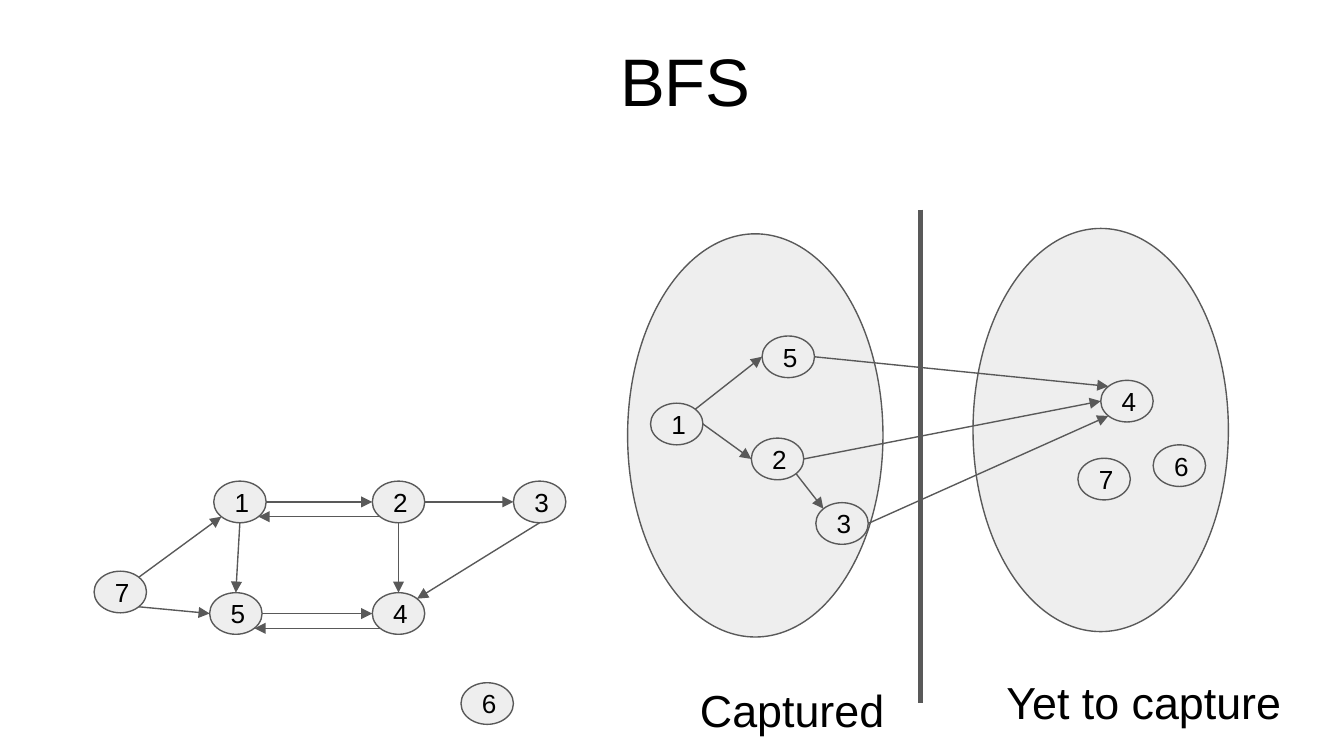
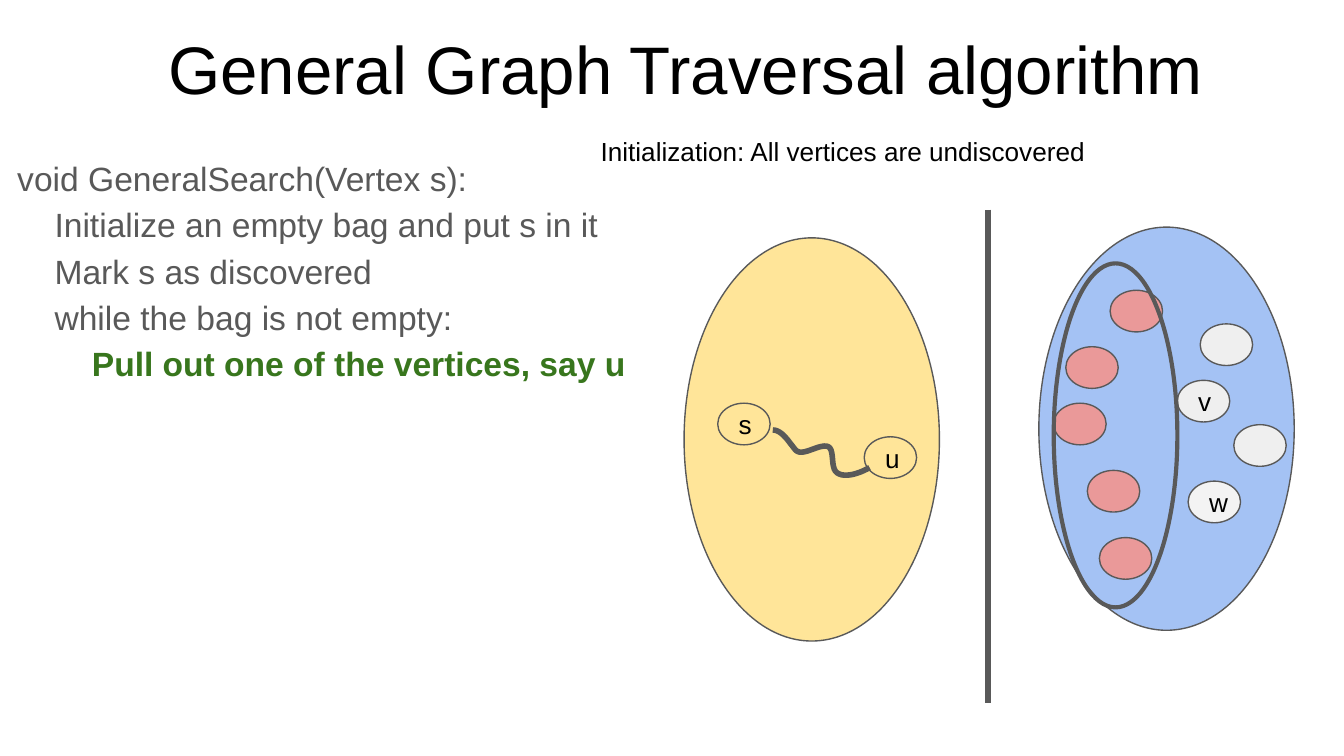
import dataclasses

import lxml.etree
import pptx
import pptx.dml.color
import pptx.enum.shapes
import pptx.enum.text
import pptx.oxml.ns
import pptx.shapes.base
import pptx.slide
import pptx.util
from pptx.util import Inches

COLORS = {
    "ink": "000000",
    "line": "595959",
    "code": "595959",
    "active": "38761D",
    "grey": "EEEEEE",
    "pale": "EFEFEF",
    "paler": "F3F3F3",
    "found": "FFE599",
    "unseen": "A4C2F4",
    "frontier": "EA9999",
}
FONT = "Arial"
NODE_WIDTH, NODE_HEIGHT = 0.39, 0.31
REGION_WIDTH, REGION_HEIGHT = 1.9, 3.0
DIVIDER_TOP, DIVIDER_BOTTOM = 1.56, 5.23
THIN, MEDIUM, THICK = 0.75, 2.25, 3
OVAL = pptx.enum.shapes.MSO_SHAPE.OVAL
REGION = pptx.enum.shapes.MSO_SHAPE.FLOWCHART_CONNECTOR
ALIGN = pptx.enum.text.PP_ALIGN
ANCHOR = pptx.enum.text.MSO_ANCHOR

# Points on a node's outline, as multiples of its half width and half height.
DIAGONAL = 0.71
SITES = {
    "N": (0, -1), "S": (0, 1), "W": (-1, 0), "E": (1, 0),
    "NW": (-DIAGONAL, -DIAGONAL), "NE": (DIAGONAL, -DIAGONAL),
    "SW": (-DIAGONAL, DIAGONAL), "SE": (DIAGONAL, DIAGONAL),
}

Point = tuple[float, float]


@dataclasses.dataclass(frozen=True)
class Node:
    left: float
    top: float
    label: str = ""
    fill: str = "grey"

    def site(self, name: str) -> Point:
        across, down = SITES[name]
        return (self.left + NODE_WIDTH / 2 * (1 + across),
                self.top + NODE_HEIGHT / 2 * (1 + down))


@dataclasses.dataclass(frozen=True)
class Edge:
    start: str
    start_site: str
    end: str
    end_site: str


GRAPH_NODES = [
    Node(1.59, 3.58, "1"), Node(2.77, 3.58, "2"), Node(3.82, 3.58, "3"),
    Node(0.7, 4.25, "7"), Node(1.56, 4.41, "5"), Node(2.77, 4.41, "4"),
    Node(3.43, 5.08, "6"),
]
GRAPH_EDGES = [
    Edge("1", "E", "2", "W"), Edge("2", "SW", "1", "SE"),
    Edge("2", "E", "3", "W"), Edge("2", "S", "4", "N"),
    Edge("3", "S", "4", "NE"), Edge("5", "E", "4", "W"),
    Edge("4", "SW", "5", "SE"), Edge("7", "NE", "1", "SW"),
    Edge("7", "SE", "5", "W"), Edge("1", "S", "5", "N"),
]
SEARCH_NODES = [
    Node(4.84, 3, "1"), Node(6.07, 3.74, "3"), Node(8.19, 2.83, "4"),
    Node(5.59, 3.26, "2"), Node(8.02, 3.41, "7"), Node(8.58, 3.31, "6"),
    Node(5.67, 2.5, "5"),
]
SEARCH_EDGES = [
    Edge("1", "E", "2", "W"), Edge("1", "NE", "5", "W"),
    Edge("2", "E", "4", "W"), Edge("5", "E", "4", "NW"),
    Edge("2", "SE", "3", "NW"), Edge("3", "E", "4", "SW"),
]
TRAVERSAL_NODES = [
    Node(5.34, 3, "s", "found"), Node(6.43, 3.25, "u", "found"),
    Node(8.76, 2.83, "v", "pale"), Node(8.84, 3.58, "w", "paler"),
    Node(7.93, 2.58, fill="frontier"), Node(8.09, 3.5, fill="frontier"),
    Node(8.26, 2.16, fill="frontier"), Node(7.84, 3, fill="frontier"),
    Node(8.18, 4, fill="frontier"),
    Node(9.18, 3.16, fill="pale"), Node(8.93, 2.41, fill="pale"),
]
SEARCH_CODE = """void GeneralSearch(Vertex s):
    Initialize an empty bag and put s in it
    Mark s as discovered
    while the bag is not empty:
        """
ACTIVE_CODE = "Pull out one of the vertices, say u"
# Start point, then two handles and an end point for each curve.
WAVE = [
    (5.75, 3.2),
    (5.82, 3.2), (5.87, 3.29), (5.92, 3.35),
    (5.97, 3.4), (6.08, 3.31), (6.15, 3.32),
    (6.22, 3.33), (6.17, 3.48), (6.23, 3.52),
    (6.29, 3.56), (6.4, 3.52), (6.47, 3.48),
]


def rgb(name: str) -> pptx.dml.color.RGBColor:
    return pptx.dml.color.RGBColor.from_string(COLORS[name])


def write(box: pptx.shapes.base.BaseShape, text: str, *, size: float = 14,
          color: str = "ink", bold: bool = False, align: ALIGN = ALIGN.LEFT,
          anchor: ANCHOR = ANCHOR.TOP, spacing: float = 1.0) -> None:
    """Continue the box's paragraph with text, breaking it at each newline."""
    frame = box.text_frame
    frame.word_wrap = True
    frame.vertical_anchor = anchor
    frame.margin_left = frame.margin_right = Inches(0.1)
    frame.margin_top = frame.margin_bottom = Inches(0.1)
    para = frame.paragraphs[0]
    para.alignment = align
    para.line_spacing = spacing
    for number, line in enumerate(text.split("\n")):
        if number:
            para.add_line_break()
        span = para.add_run()
        span.text = line
        span.font.name = FONT
        span.font.size = pptx.util.Pt(size)
        span.font.bold = bold
        span.font.color.rgb = rgb(color)


def add_box(page: pptx.slide.Slide, left: float, top: float, width: float,
            height: float) -> pptx.shapes.base.BaseShape:
    return page.shapes.add_textbox(Inches(left), Inches(top), Inches(width), Inches(height))


def add_title(page: pptx.slide.Slide, text: str, top: float) -> None:
    write(add_box(page, 0.44, top, 9.32, 0.92), text, size=36,
          align=ALIGN.CENTER, anchor=ANCHOR.MIDDLE)


def outline(shape: pptx.shapes.base.BaseShape, weight: float, fill: str | None) -> None:
    shape.shadow.inherit = False
    if fill:
        shape.fill.solid()
        shape.fill.fore_color.rgb = rgb(fill)
    else:
        shape.fill.background()
    shape.line.color.rgb = rgb("line")
    shape.line.width = pptx.util.Pt(weight)


def add_oval(page: pptx.slide.Slide, left: float, top: float, width: float,
             height: float, fill: str | None = None, weight: float = THIN,
             preset: pptx.enum.shapes.MSO_SHAPE = OVAL) -> pptx.shapes.base.BaseShape:
    oval = page.shapes.add_shape(preset, Inches(left), Inches(top),
                                 Inches(width), Inches(height))
    outline(oval, weight, fill)
    return oval


def add_region(page: pptx.slide.Slide, left: float, top: float, fill: str) -> None:
    add_oval(page, left, top, REGION_WIDTH, REGION_HEIGHT, fill, preset=REGION)


def add_nodes(page: pptx.slide.Slide, nodes: list[Node]) -> None:
    for node in nodes:
        oval = add_oval(page, node.left, node.top, NODE_WIDTH, NODE_HEIGHT, node.fill)
        if node.label:
            write(oval, node.label, anchor=ANCHOR.MIDDLE)


def add_line(page: pptx.slide.Slide, start: Point, end: Point, weight: float = THIN,
             arrow: bool = False) -> None:
    line = page.shapes.add_connector(
        pptx.enum.shapes.MSO_CONNECTOR.STRAIGHT, *map(Inches, (*start, *end)))
    line.line.color.rgb = rgb("line")
    line.line.width = pptx.util.Pt(weight)
    qn = pptx.oxml.ns.qn
    properties = line.element.spPr
    if arrow:
        lxml.etree.SubElement(properties.find(qn("a:ln")), qn("a:tailEnd"), type="triangle")
    lxml.etree.SubElement(properties, qn("a:effectLst"))


def add_divider(page: pptx.slide.Slide, across: float) -> None:
    add_line(page, (across, DIVIDER_TOP), (across, DIVIDER_BOTTOM), THICK)


def add_graph(page: pptx.slide.Slide, nodes: list[Node], edges: list[Edge]) -> None:
    add_nodes(page, nodes)
    by_label = {node.label: node for node in nodes}
    for edge in edges:
        add_line(page, by_label[edge.start].site(edge.start_site),
                 by_label[edge.end].site(edge.end_site), arrow=True)


def curve_point(controls: list[Point], t: float) -> Point:
    """Point at t on the cubic curve with these four control points."""
    weights = ((1 - t) ** 3, 3 * t * (1 - t) ** 2, 3 * t ** 2 * (1 - t), t ** 3)
    across, down = (sum(w * value for w, value in zip(weights, axis))
                    for axis in zip(*controls))
    return across, down


def add_wave(page: pptx.slide.Slide, controls: list[Point], steps: int = 12) -> None:
    points = [curve_point(controls[first:first + 4], step / steps)
              for first in range(0, len(controls) - 1, 3)
              for step in range(1, steps + 1)]
    builder = page.shapes.build_freeform(*map(Inches, controls[0]))
    builder.add_line_segments([(Inches(x), Inches(y)) for x, y in points], close=False)
    outline(builder.convert_to_shape(), THICK, None)


def build_bfs(page: pptx.slide.Slide) -> None:
    add_title(page, "BFS", 0.13)
    add_region(page, 4.67, 1.74, "grey")
    add_region(page, 7.24, 1.7, "grey")
    add_divider(page, 6.85)
    write(add_box(page, 5.11, 4.98, 1.63, 0.5), "Captured", size=24)
    write(add_box(page, 7.39, 4.92, 2.53, 0.31), "Yet to capture", size=24)
    add_graph(page, GRAPH_NODES, GRAPH_EDGES)
    add_graph(page, SEARCH_NODES, SEARCH_EDGES)


def build_traversal(page: pptx.slide.Slide) -> None:
    add_title(page, "General Graph Traversal algorithm", 0.04)
    code = add_box(page, 0.03, 1.03, 9.32, 3.74)
    write(code, SEARCH_CODE, size=18, color="code", spacing=1.15)
    write(code, ACTIVE_CODE, size=18, color="active", bold=True, spacing=1.15)
    write(add_box(page, 4.37, 0.91, 5.04, 0.5),
          "Initialization: All vertices are undiscovered")
    add_region(page, 5.09, 1.77, "found")
    add_region(page, 7.73, 1.69, "unseen")
    add_divider(page, 7.35)
    add_nodes(page, TRAVERSAL_NODES)
    add_wave(page, WAVE)
    add_oval(page, 7.84, 1.96, 0.92, 2.56, weight=MEDIUM)


def main() -> None:
    deck = pptx.Presentation()
    deck.slide_width = Inches(10)
    deck.slide_height = Inches(10 * 9 / 16)
    blank = deck.slide_layouts[6]
    for build in (build_bfs, build_traversal):
        build(deck.slides.add_slide(blank))
    deck.save("out.pptx")


if __name__ == "__main__":
    main()
